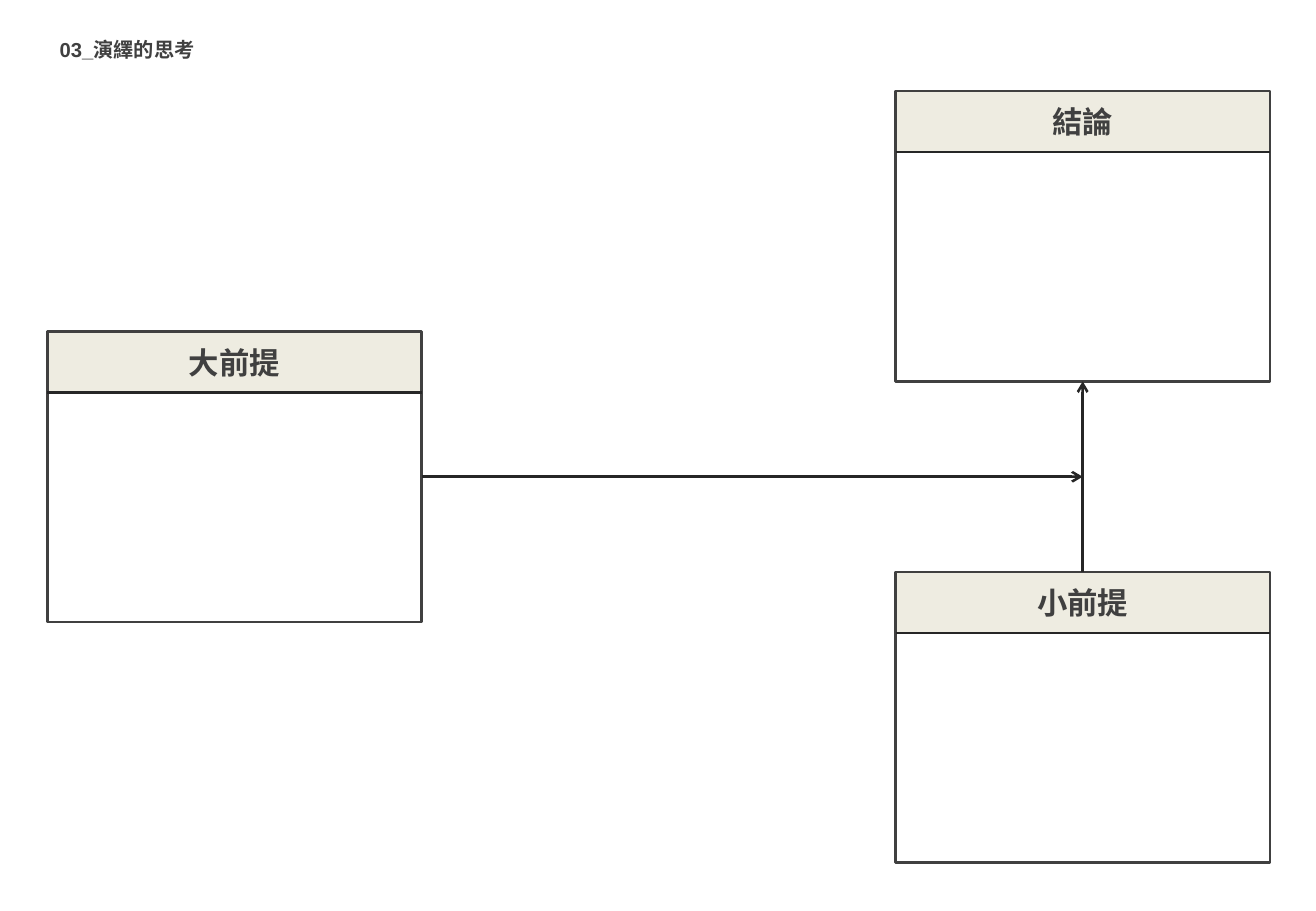
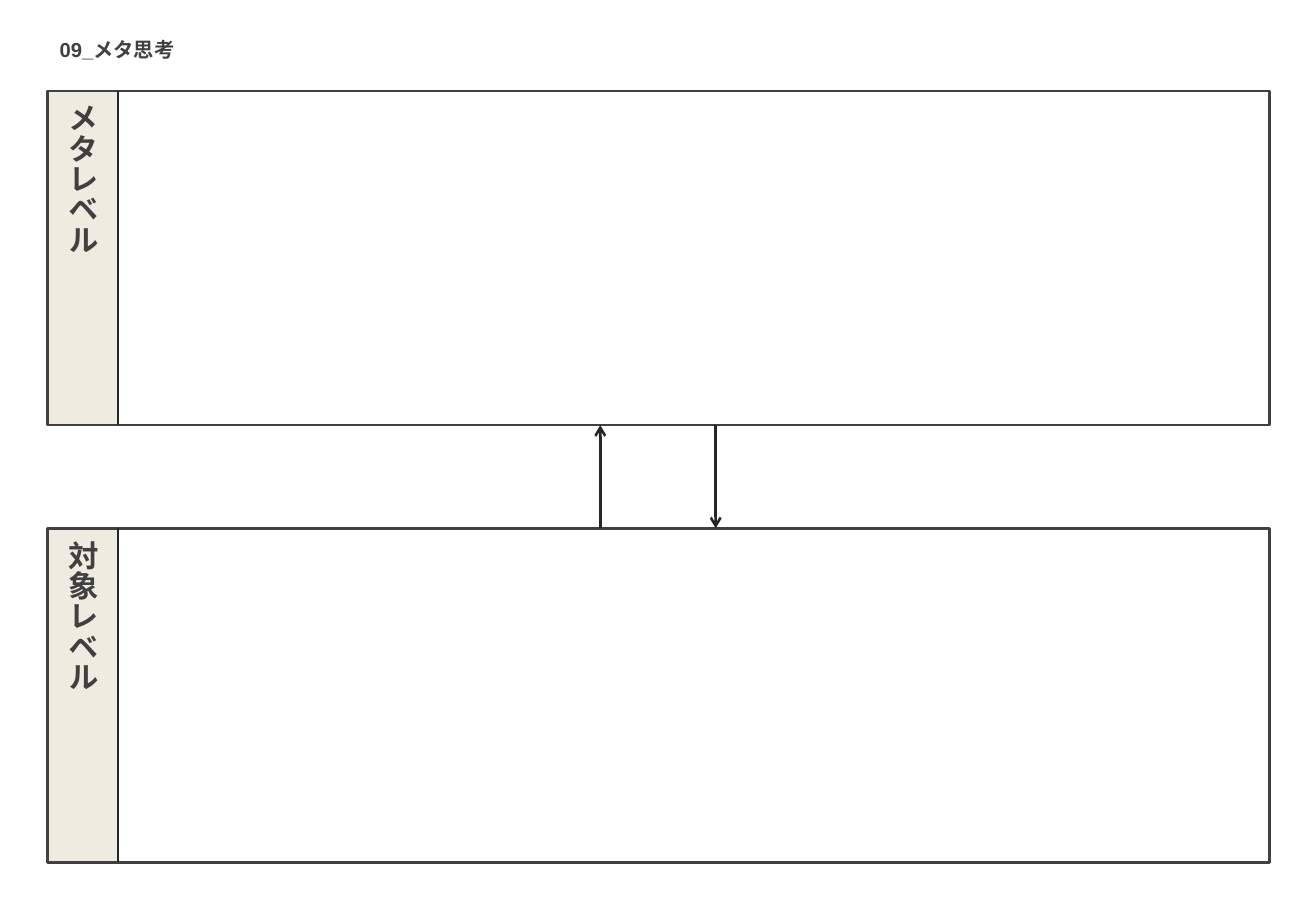
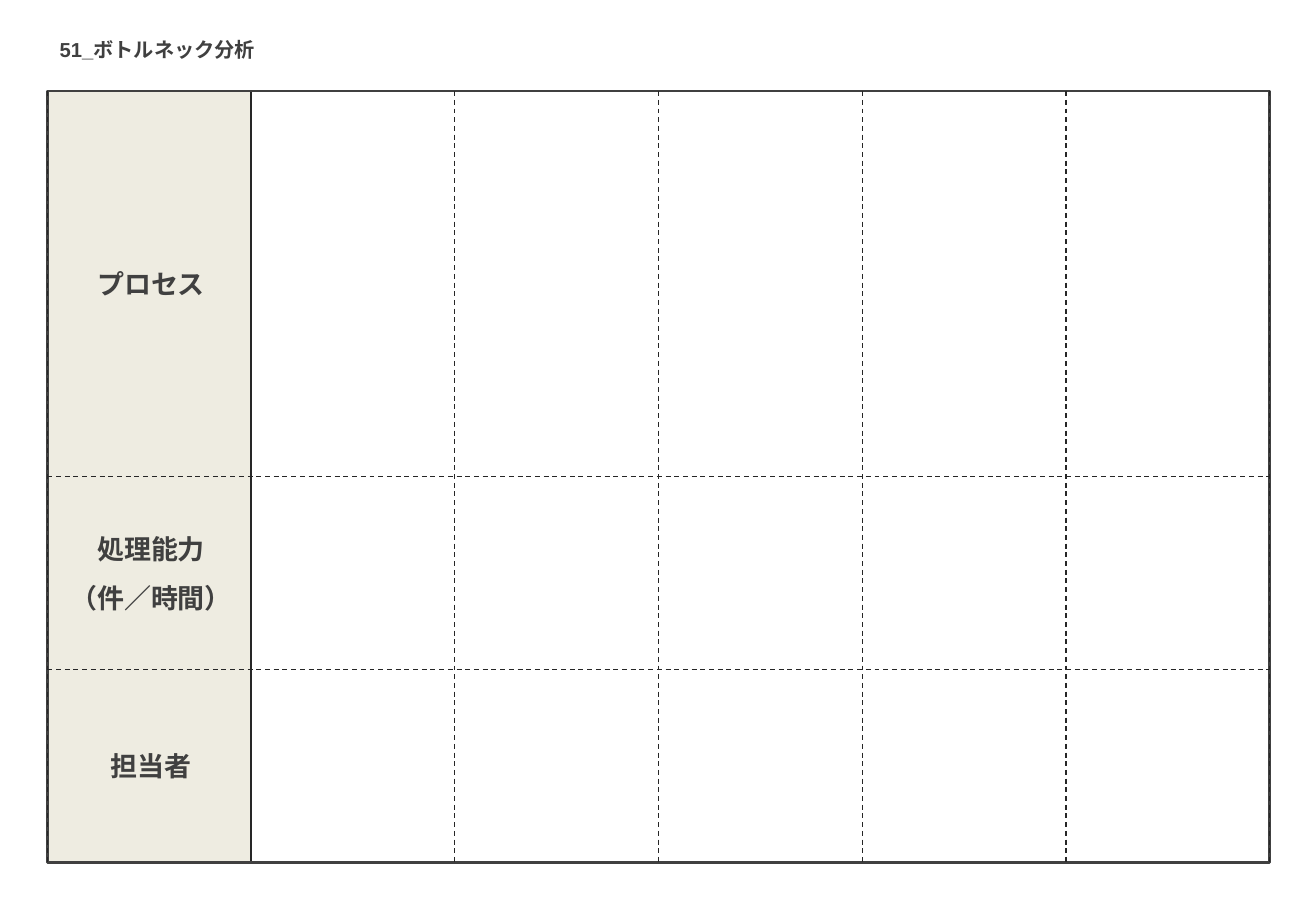
from lxml import etree
from pptx import Presentation
from pptx.dml.color import RGBColor
from pptx.enum import dml, shapes, text
from pptx.oxml.ns import qn
from pptx.util import Inches, Pt

INK = RGBColor(0x40, 0x40, 0x40)
RULE = RGBColor(0x26, 0x26, 0x26)
BAND = RGBColor(0xEE, 0xEC, 0xE1)

LEFT, TOP, WIDTH, HEIGHT = 0.39, 0.75, 10.06, 6.35
RIGHT, BOTTOM = LEFT + WIDTH, TOP + HEIGHT


class Worksheet:
    font = {"name": "Arial", "bold": True}
    title_size, heading_size, label_size = 12, 18, 16

    def __init__(self):
        self.deck = Presentation()
        self.deck.slide_width = Inches(10.83)
        self.deck.slide_height = Inches(7.5)

    def start(self, title, width):
        self.slide = self.deck.slides.add_slide(self.deck.slide_layouts[5])
        heading = self.slide.shapes.title
        places = {"left": LEFT, "top": 0.26, "width": width, "height": 0.3}
        for side, length in places.items():
            setattr(heading, side, Inches(length))
        self.set_text(heading, [title], self.title_size,
                      text.PP_ALIGN.LEFT, text.MSO_ANCHOR.TOP)

    def set_text(self, holder, lines, size, align=text.PP_ALIGN.CENTER,
                 anchor=text.MSO_ANCHOR.MIDDLE):
        frame = holder.text_frame
        layout = {"word_wrap": True, "vertical_anchor": anchor,
                  "auto_size": text.MSO_AUTO_SIZE.SHAPE_TO_FIT_TEXT}
        for name, value in layout.items():
            setattr(frame, name, value)
        frame.text = "\n".join(lines)
        for index, paragraph in enumerate(frame.paragraphs):
            paragraph.alignment = align
            if index:
                paragraph.line_spacing = 1.5
            font = paragraph.runs[0].font
            for name, value in {**self.font, "size": Pt(size)}.items():
                setattr(font, name, value)
            font.color.rgb = INK

    def label(self, lines, x, y, width, height, size, vertical=False):
        box = self.slide.shapes.add_textbox(*map(Inches, (x, y, width, height)))
        self.set_text(box, lines, size)
        if vertical:
            box.element.find(".//" + qn("a:bodyPr")).set("vert", "eaVert")

    def rect(self, x, y, width, height):
        box = self.slide.shapes.add_shape(
            shapes.MSO_SHAPE.RECTANGLE, *map(Inches, (x, y, width, height)))
        box.shadow.inherit = False
        return box

    def band(self, x, y, width, height):
        box = self.rect(x, y, width, height)
        box.fill.solid()
        box.fill.fore_color.rgb = BAND
        box.line.fill.background()

    def frame(self, x, y, width, height):
        box = self.rect(x, y, width, height)
        box.fill.background()
        box.line.color.rgb = INK
        box.line.width = Pt(1.5)

    def rule(self, x1, y1, x2, y2, arrow=False, dashed=False):
        line = self.slide.shapes.add_connector(
            shapes.MSO_CONNECTOR.STRAIGHT, *map(Inches, (x1, y1, x2, y2)))
        line.line.color.rgb = RULE
        line.line.width = Pt(0.75 if dashed else 1.5)
        if dashed:
            line.line.dash_style = dml.MSO_LINE.DASH
        properties = line.element.spPr
        if arrow:
            etree.SubElement(properties.find(qn("a:ln")), qn("a:tailEnd"), type="arrow")
        etree.SubElement(properties, qn("a:effectLst"))

    def card(self, heading, x, y, width, height):
        self.band(x, y, width, 0.5)
        self.frame(x, y, width, height)
        self.rule(x, y + 0.5, x + width, y + 0.5)
        self.label([heading], x, y + 0.05, width, 0.4, self.heading_size)

    def level(self, heading, y, height):
        side = 0.58
        self.band(LEFT, y, side, height)
        self.frame(LEFT, y, WIDTH, height)
        self.rule(LEFT + side, y, LEFT + side, y + height)
        self.label([heading], LEFT + 0.04, y, 0.5, height, self.heading_size, vertical=True)


def deduction(sheet):
    sheet.start("03_演繹的思考", 1.32)
    width, height = 3.08, 2.39
    card_left = RIGHT - width
    middle = TOP + HEIGHT / 2
    minor_top = BOTTOM - height
    sheet.card("大前提", LEFT, middle - height / 2, width, height)
    sheet.card("結論", card_left, TOP, width, height)
    sheet.card("小前提", card_left, minor_top, width, height)
    join = card_left + width / 2
    sheet.rule(join, minor_top, join, TOP + height, arrow=True)
    sheet.rule(LEFT + width, middle, join, middle, arrow=True)


def meta_thinking(sheet):
    sheet.start("09_メタ思考", 1.15)
    height = 2.75
    meta_bottom, object_top = TOP + height, BOTTOM - height
    sheet.level("メタレベル", TOP, height)
    sheet.level("対象レベル", object_top, height)
    sheet.rule(5.89, meta_bottom, 5.89, object_top, arrow=True)
    sheet.rule(4.94, object_top, 4.94, meta_bottom, arrow=True)


def bottleneck(sheet):
    sheet.start("51_ボトルネック分析", 1.83)
    column, unit = WIDTH / 6, HEIGHT / 4
    sheet.band(LEFT, TOP, column, HEIGHT)
    sheet.rule(LEFT + column, BOTTOM, LEFT + column, TOP)
    sheet.frame(LEFT, TOP, WIDTH, HEIGHT)
    for index in (0, 2, 3, 4, 5, 6):
        x = LEFT + index * column
        sheet.rule(x, TOP, x, BOTTOM, dashed=True)
    y = TOP
    rows = [(["プロセス"], 2), (["処理能力", "（件／時間）"], 1), (["担当者"], 1)]
    for lines, units in rows:
        if y > TOP:
            sheet.rule(LEFT, y, RIGHT, y, dashed=True)
        row_height, text_height = units * unit, 0.37 * len(lines)
        sheet.label(lines, LEFT + 0.03, y + (row_height - text_height) / 2,
                    column - 0.03, text_height, sheet.label_size)
        y += row_height


def main():
    sheet = Worksheet()
    for build in (deduction, meta_thinking, bottleneck):
        build(sheet)
    sheet.deck.save("out.pptx")


if __name__ == "__main__":
    main()
